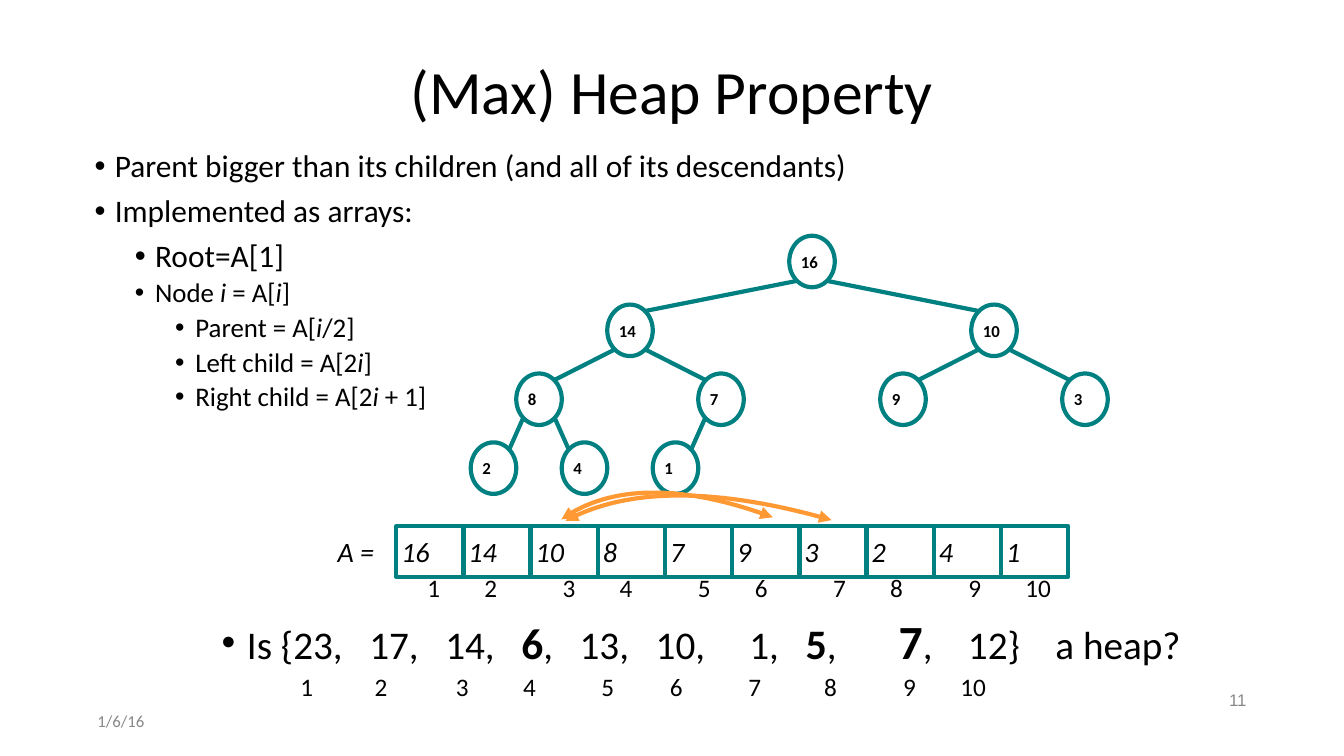
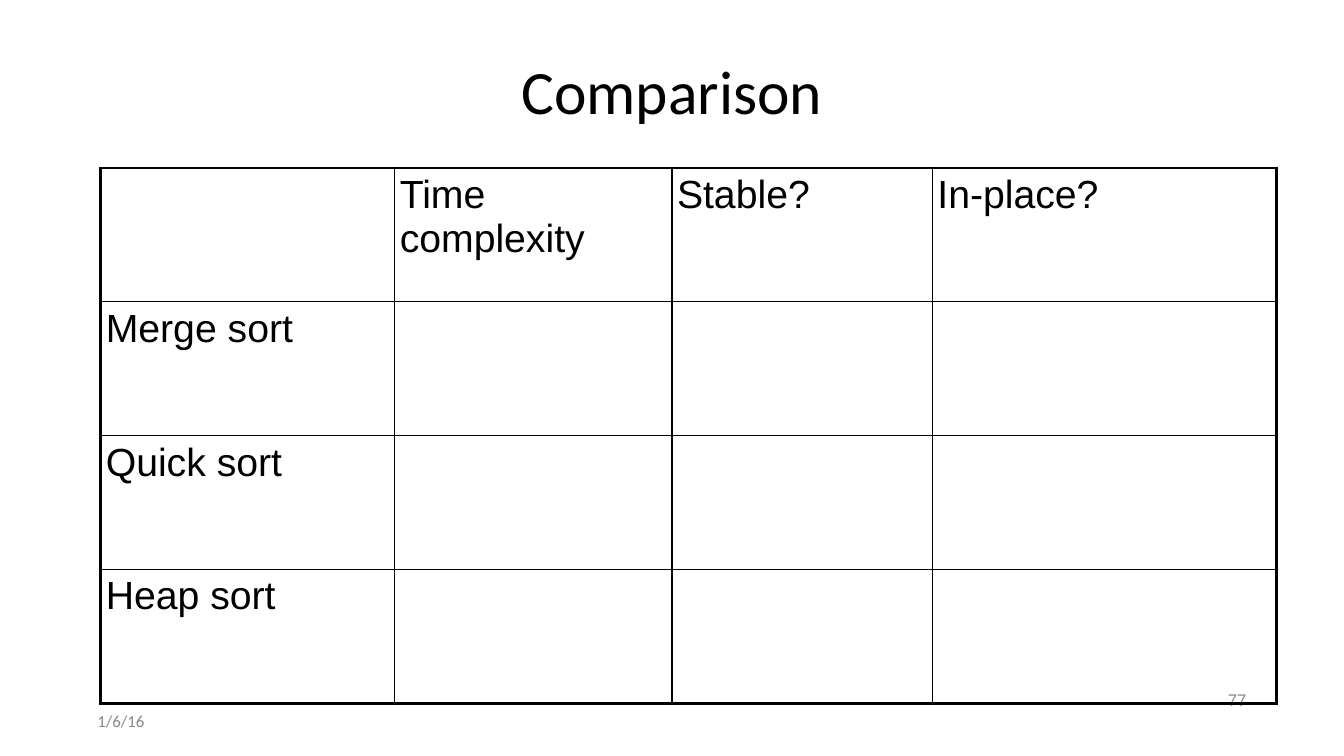
from lxml import etree
from pptx import Presentation
from pptx.dml.color import RGBColor
from pptx.enum.shapes import MSO_CONNECTOR, MSO_SHAPE
from pptx.enum.text import MSO_ANCHOR as ANCHOR, PP_ALIGN as ALIGN
from pptx.oxml.ns import qn
from pptx.util import Pt

BLACK = RGBColor(0x00, 0x00, 0x00)
WHITE = RGBColor(0xFF, 0xFF, 0xFF)
GRAY = RGBColor(0x88, 0x88, 0x88)
TEAL = RGBColor(0x00, 0x80, 0x80)
ORANGE = RGBColor(0xFF, 0x99, 0x33)
BODY_FONT, TABLE_FONT = "Calibri", "Arial"
INSET = 3.6
LINE_WIDTH = 3
SPACE_WIDTH = 6.33  # one Calibri space at 28 points

HEAP = [16, 14, 10, 8, 7, 9, 3, 2, 4, 1]
# (level, size, space before, text), italics between asterisks
PROPERTIES = [
    (0, 22.4, 8, "Parent bigger than its children (and all of its descendants)"),
    (0, 22.4, 8, "Implemented as arrays:"),
    (1, 22.4, 8, "Root=A[1]"),
    (1, 19.2, 4, "Node *i* = A[*i*]"),
    (2, 19.2, 4, "Parent = A[*i*/2]"),
    (2, 19.2, 4, "Left child = A[2*i*]"),
    (2, 19.2, 4, "Right child = A[2*i* + 1]"),
]
# (text, size, bold, width of the gap after it in spaces)
QUESTION = [
    ("Is {23,", 28, False, 3), ("17,", 28, False, 3), ("14,", 28, False, 3),
    ("6", 31, True, 0), (",", 28, False, 3), ("13,", 28, False, 3),
    ("10,", 28, False, 5), ("1,", 28, False, 3), ("5", 30, True, 0),
    (",", 28, False, 7), ("7", 34, True, 0), (",", 28, False, 4),
    ("12}", 28, False, 4), ("a heap?", 28, False, 0),
]
QUESTION_INDEX_LEFTS = [211, 264, 322, 370, 426, 475, 531, 585, 641.5, 682.5]
ARROW_CURVES = [
    [(404, 372), (448.5, 348), (512, 348), (594, 371.5)],
    [(401, 371), (436, 346), (487.5, 345.5), (552, 369.5)],
]
COMPARISON = [
    ["", "Time complexity", "Stable?", "In-place?"],
    ["Merge sort", "", "", ""],
    ["Quick sort", "", "", ""],
    ["Heap sort", "", "", ""],
]


def style_font(font, size, color=BLACK, name=BODY_FONT, bold=False, italic=False):
    """Set every font property of a run."""
    font.size, font.name, font.bold, font.italic = Pt(size), name, bold, italic
    font.color.rgb = color


def set_frame(frame, anchor=ANCHOR.MIDDLE, wrap=True):
    """Give a text frame the shared insets."""
    frame.margin_left = frame.margin_right = Pt(INSET)
    frame.margin_top = frame.margin_bottom = Pt(INSET)
    frame.vertical_anchor, frame.word_wrap = anchor, wrap


def write(shape, text, size, align=ALIGN.LEFT, anchor=ANCHOR.MIDDLE, wrap=True, **font):
    """Write one formatted paragraph into a shape and return the paragraph."""
    set_frame(shape.text_frame, anchor, wrap)
    shape.text_frame.text = text
    paragraph = shape.text_frame.paragraphs[0]
    paragraph.alignment = align
    style_font(paragraph.runs[0].font, size, **font)
    return paragraph


def add_label(slide, box, text, size, **style):
    """Add a one-line text box."""
    label = slide.shapes.add_textbox(*map(Pt, box))
    return write(label, text, size, **style)


def add_bullet(paragraph, margin, hang):
    """Give a paragraph a hanging bullet."""
    properties = paragraph._p.get_or_add_pPr()
    properties.set("marL", str(Pt(margin)))
    properties.set("indent", str(-Pt(hang)))
    etree.SubElement(properties, qn("a:buFont")).set("typeface", "Arial")
    etree.SubElement(properties, qn("a:buChar")).set("char", "•")


def add_outlined(slide, kind, box, text, size, **font):
    """Add a white shape with a teal outline and its value."""
    shape = slide.shapes.add_shape(kind, *map(Pt, box))
    shape.shadow.inherit = False
    shape.fill.solid()
    shape.fill.fore_color.rgb = WHITE
    shape.line.color.rgb = TEAL
    shape.line.width = Pt(LINE_WIDTH)
    write(shape, text, size, wrap=False, **font)


def add_titled_slide(presentation, title, number):
    """Add a slide with its title, date and number."""
    slide = presentation.slides.add_slide(presentation.slide_layouts[5])
    heading = slide.shapes.title
    heading.left, heading.top, heading.width, heading.height = map(Pt, (66, 29, 828, 77))
    write(heading, title, 44, align=ALIGN.CENTER).line_spacing = 0.9
    add_label(slide, (66, 504, 216, 21), "1/6/16", 12, color=GRAY)
    add_label(slide, (678, 489.5, 216, 21), number, 12, align=ALIGN.RIGHT,
              color=GRAY, name="Arial")
    return slide


def add_properties(slide, box):
    """Add the bulleted list of heap properties."""
    frame = slide.shapes.add_textbox(*map(Pt, box)).text_frame
    set_frame(frame, ANCHOR.TOP)
    for row, (level, size, before, text) in enumerate(PROPERTIES):
        paragraph = frame.add_paragraph() if row else frame.paragraphs[0]
        paragraph.level = level
        paragraph.line_spacing, paragraph.space_before = 0.9, Pt(before)
        add_bullet(paragraph, 14.4 + 28.8 * level, 14.4)
        for part, words in enumerate(text.split("*")):
            run = paragraph.add_run()
            run.text = words
            style_font(run.font, size, italic=part % 2 == 1)


def add_tree(slide, box):
    """Draw the heap as a binary tree spread over the box."""
    left, top, width, height = box
    node_width, node_height = 32.5, 36.8
    levels = len(HEAP).bit_length()
    level_pitch = (height - node_height) / (levels - 1)

    def center(index):
        """Return the centre of the node with this 1-based index."""
        level = index.bit_length() - 1
        place = index - 2 ** level
        return (left + width * (place + 0.5) / 2 ** level,
                top + node_height / 2 + level * level_pitch)

    for index, value in enumerate(HEAP, 1):
        x, y = center(index)
        add_outlined(slide, MSO_SHAPE.OVAL,
                     (x - node_width / 2, y - node_height / 2, node_width, node_height),
                     str(value), 12, bold=True)
    reach_x, reach_y = 0.71 * node_width / 2, 0.76 * node_height / 2
    for child in range(2, len(HEAP) + 1):
        side = 1 if child % 2 else -1
        parent_x, parent_y = center(child // 2)
        child_x, child_y = center(child)
        ends = (parent_x + side * reach_x, parent_y + reach_y,
                child_x - side * reach_x, child_y - reach_y)
        edge = slide.shapes.add_connector(MSO_CONNECTOR.STRAIGHT, *map(Pt, ends))
        edge.line.color.rgb = TEAL
        edge.line.width = Pt(LINE_WIDTH)
        etree.SubElement(edge._element.spPr, qn("a:effectLst"))


def add_indices(slide, lefts, top):
    """Number the array positions from 1."""
    for index, left in enumerate(lefts, 1):
        add_label(slide, (left, top, 17.3 if index < 10 else 26.6, 29.5), str(index), 18,
                  anchor=ANCHOR.TOP, wrap=False)


def add_array(slide, box):
    """Draw the heap as a row of cells with a name and indices."""
    left, top, width, height = box
    cell_width = width / len(HEAP)
    for column, value in enumerate(HEAP):
        add_outlined(slide, MSO_SHAPE.RECTANGLE,
                     (left + column * cell_width, top, cell_width, height),
                     str(value), 20, italic=True)
    add_label(slide, (left - 45.4, top, 34.6, height), "A =", 20, wrap=False, italic=True)
    lefts = [left + 18.7 + 96.6 * (column // 2) + 40.7 * (column % 2)
             for column in range(len(HEAP))]
    add_indices(slide, lefts, top + 29.5)


def add_question(slide, box):
    """Ask whether the listed values form a heap, with their indices below."""
    frame = slide.shapes.add_textbox(*map(Pt, box)).text_frame
    set_frame(frame, ANCHOR.TOP, wrap=False)
    paragraph = frame.paragraphs[0]
    paragraph.line_spacing, paragraph.space_before = 0.9, Pt(10)
    add_bullet(paragraph, 18, 18)
    for text, size, bold, gap in QUESTION:
        run = paragraph.add_run()
        run.text = text
        style_font(run.font, size, bold=bold)
        if gap:
            space = paragraph.add_run()
            space.text = " "
            style_font(space.font, 28)
            tracking = round((gap - 1) * SPACE_WIDTH * 100)
            space._r.get_or_add_rPr().set("spc", str(tracking))
    add_indices(slide, QUESTION_INDEX_LEFTS, box[1] + 37.7)


def add_curved_arrow(slide, controls, steps=32):
    """Draw a double-headed arrow along a cubic Bezier curve."""
    points = []
    for step in range(steps + 1):
        t = step / steps
        weights = ((1 - t) ** 3, 3 * t * (1 - t) ** 2, 3 * t * t * (1 - t), t ** 3)
        points.append(tuple(Pt(sum(weight * control[axis] for weight, control
                                   in zip(weights, controls))) for axis in (0, 1)))
    builder = slide.shapes.build_freeform(*points[0])
    builder.add_line_segments(points[1:], close=False)
    arrow = builder.convert_to_shape()
    arrow.shadow.inherit = False
    arrow.fill.background()
    arrow.line.color.rgb = ORANGE
    arrow.line.width = Pt(LINE_WIDTH)
    for end in ("a:headEnd", "a:tailEnd"):
        etree.SubElement(arrow.line._get_or_add_ln(), qn(end)).set("type", "triangle")


def set_borders(cell, widths):
    """Give a cell black borders: left, right, top and bottom widths."""
    properties = cell._tc.get_or_add_tcPr()
    for position, (side, width) in enumerate(zip("LRTB", widths)):
        border = etree.Element(qn("a:ln" + side), w=str(Pt(width)))
        fill = etree.SubElement(border, qn("a:solidFill"))
        etree.SubElement(fill, qn("a:srgbClr")).set("val", str(BLACK))
        properties.insert(position, border)


def add_comparison(slide, box):
    """Add the sorting table with a heavy outer frame."""
    row_count, column_widths = len(COMPARISON), (210, 198, 186, 246)
    last_row, last_column = row_count - 1, len(column_widths) - 1
    table = slide.shapes.add_table(row_count, len(column_widths), *map(Pt, box)).table
    table.first_row = table.horz_banding = False
    for column, width in zip(table.columns, column_widths):
        column.width = Pt(width)
    for r, texts in enumerate(COMPARISON):
        table.rows[r].height = Pt(box[3] / row_count)
        for c, text in enumerate(texts):
            cell = table.cell(r, c)
            cell.fill.background()
            outer = (c == 0, c == last_column, r == 0, r == last_row)
            set_borders(cell, [2.25 if edge else 1 for edge in outer])
            cell.margin_left = cell.margin_right = Pt(INSET)
            cell.margin_top = cell.margin_bottom = Pt(INSET)
            if text:
                cell.text_frame.text = text
                paragraph = cell.text_frame.paragraphs[0]
                paragraph.space_before = Pt(6)
                style_font(paragraph.runs[0].font, 28, name=TABLE_FONT)


def build_heap_slide(presentation):
    """Build the slide on the heap property."""
    slide = add_titled_slide(presentation, "(Max) Heap Property", "11")
    add_properties(slide, (64, 103.7, 565, 200))
    add_array(slide, (283, 376, 480, 36))
    add_tree(slide, (320, 168.4, 520, 184.4))
    add_question(slide, (154.8, 438.5, 693.4, 48))
    for controls in ARROW_CURVES:
        add_curved_arrow(slide, controls)


def build_comparison_slide(presentation):
    """Build the slide that compares sorting algorithms."""
    slide = add_titled_slide(presentation, "Comparison", "77")
    add_comparison(slide, (72, 120, 840, 382.4))


presentation = Presentation()
presentation.slide_width, presentation.slide_height = Pt(960), Pt(540)
build_heap_slide(presentation)
build_comparison_slide(presentation)
presentation.save("out.pptx")
